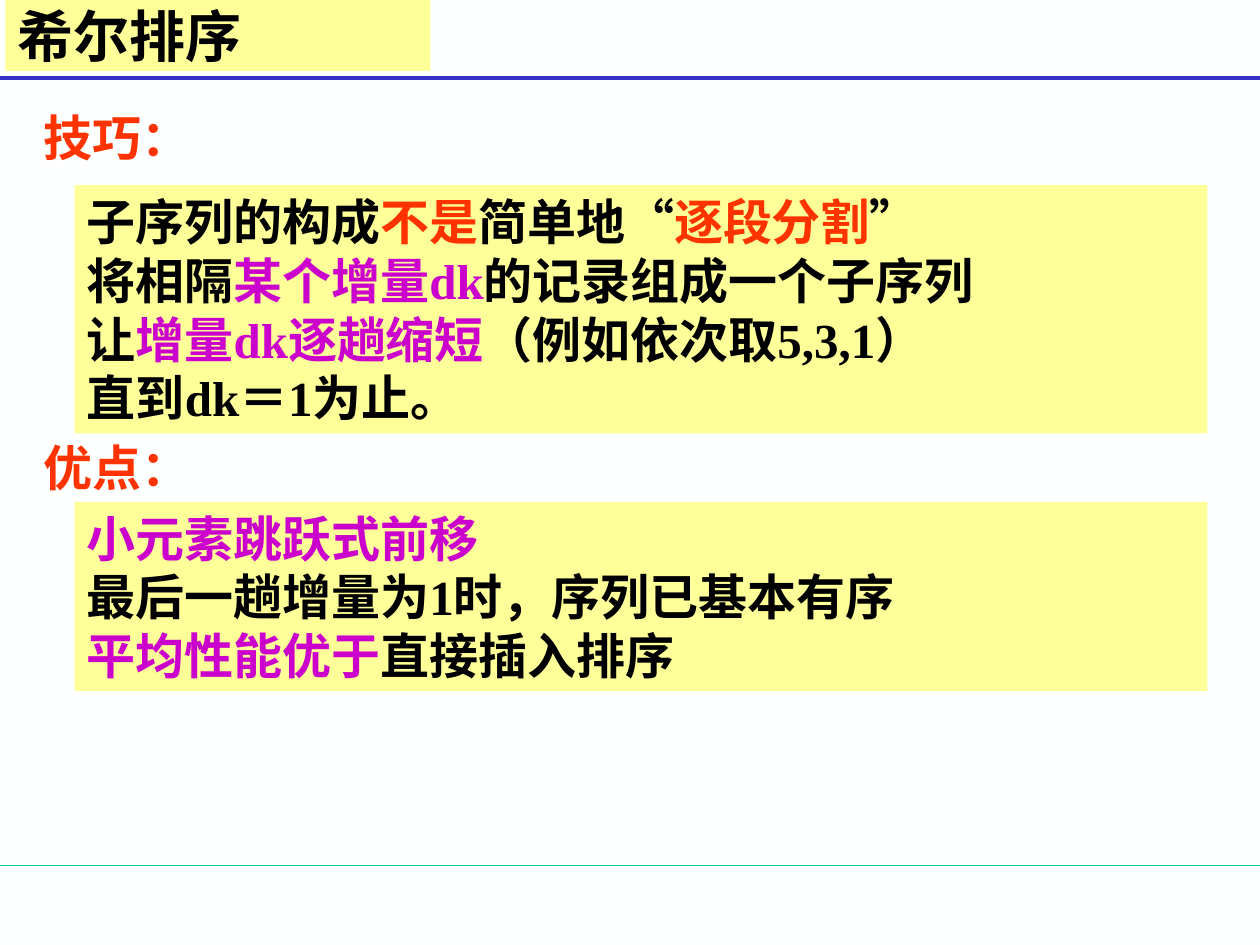
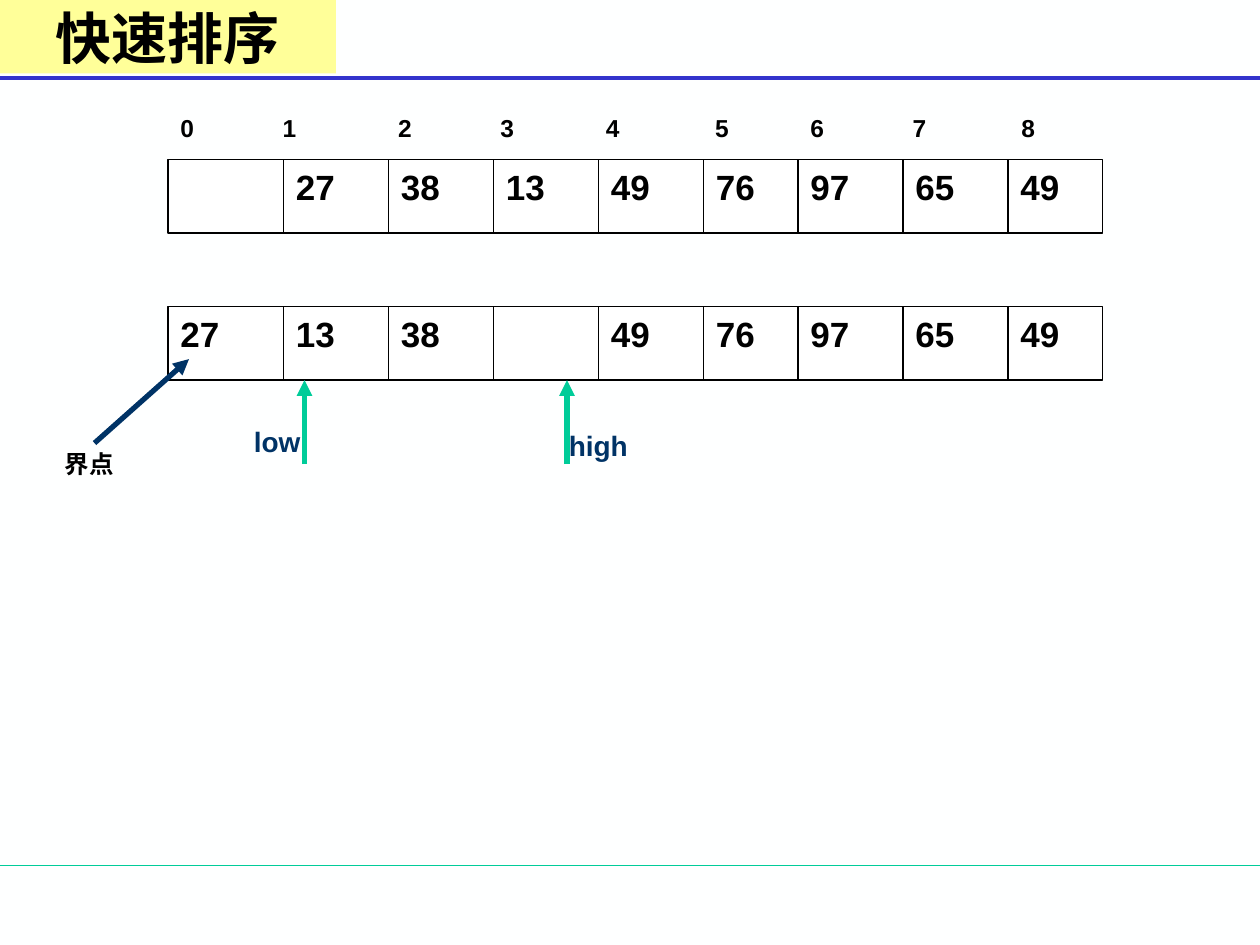
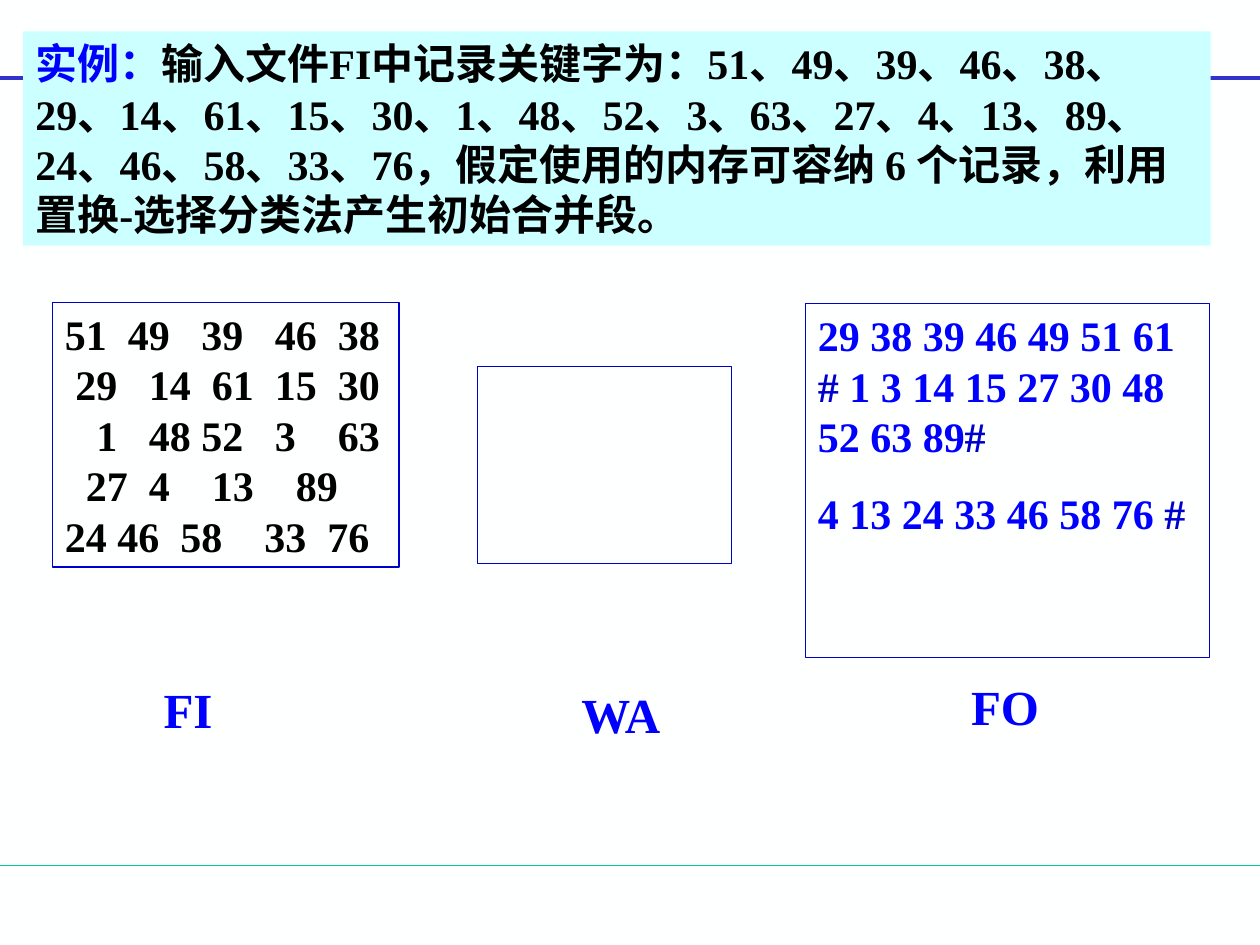
from dataclasses import dataclass
from typing import NamedTuple, Optional, Sequence

from lxml.etree import SubElement
from pptx import Presentation
from pptx.dml.color import RGBColor
from pptx.enum.shapes import MSO_CONNECTOR as Connector, MSO_SHAPE as Preset
from pptx.enum.text import MSO_ANCHOR as Anchor, MSO_AUTO_SIZE as AutoSize, PP_ALIGN as Align
from pptx.oxml.ns import qn
from pptx.util import Emu, Inches, Pt

GRID_COLUMNS, GRID_ROWS = 120, 90
SLIDE_WIDTH, SLIDE_HEIGHT = Inches(10), Inches(7.5)
UNIT = SLIDE_WIDTH / GRID_COLUMNS  # grid cells are square
TITLE_ONLY, BLANK = 5, 6


@dataclass(frozen=True)
class Theme:
    background: str = "FEFFFF"
    black: str = "000000"
    white: str = "FFFFFF"
    yellow: str = "FFFF99"
    cyan: str = "CCFFFF"
    red: str = "FF3300"
    magenta: str = "CC00CC"
    blue: str = "0000FF"
    dark_blue: str = "0000CC"
    navy: str = "003366"
    green: str = "00CC99"
    band: str = "3333CC"
    serif: str = "Times New Roman"
    sans: str = "Arial"
    chinese: str = "Noto Sans CJK SC"
    title_size: int = 32
    body_size: int = 28
    example_size: int = 24
    value_size: int = 20
    pointer_size: int = 16
    index_size: int = 14
    thin: float = 0.75
    band_width: float = 2.25
    thick: float = 3


THEME = Theme()


class Area(NamedTuple):
    column: float
    row: float
    columns: float
    rows: float


class Point(NamedTuple):
    column: float
    row: float


class Span(NamedTuple):
    text: str
    color: str = THEME.black


class TextStyle(NamedTuple):
    size: int
    font: str
    space_before: float = 0


@dataclass(frozen=True)
class Line:
    """One paragraph: its spans and its tab stops in grid columns."""
    spans: Sequence[Span]
    tabs: Sequence[float] = ()


class Pointer(NamedTuple):
    text: str
    column: float
    label: Area


class File(NamedTuple):
    name: str
    frame: Area
    label: Area
    lines: Sequence[Line]


TITLE = TextStyle(THEME.title_size, THEME.serif)
BODY = TextStyle(THEME.body_size, THEME.serif)
EXAMPLE = TextStyle(THEME.example_size, THEME.serif)
RUNS = TextStyle(THEME.example_size, THEME.serif, 15)
VALUE = TextStyle(THEME.value_size, THEME.sans)
POINTER = TextStyle(THEME.pointer_size, THEME.sans)
INDEX = TextStyle(THEME.index_size, THEME.sans)


def units(count: float) -> Emu:
    return Emu(round(count * UNIT))


def rgb(color: str) -> RGBColor:
    return RGBColor.from_string(color)


def plain(text: str, color: str = THEME.black) -> list[Line]:
    return [Line([Span(text, color)])]


def write(shape, lines: Sequence[Line], style: TextStyle,
          align: Align = Align.LEFT, anchor: Anchor = Anchor.TOP) -> None:
    frame = shape.text_frame
    frame.word_wrap = True
    frame.auto_size = AutoSize.NONE
    frame.vertical_anchor = anchor
    frame.margin_left = frame.margin_right = Inches(0.1)
    frame.margin_top = frame.margin_bottom = Inches(0.05)
    for number, line in enumerate(lines):
        paragraph = frame.add_paragraph() if number else frame.paragraphs[0]
        if line.tabs:
            stops = SubElement(paragraph._p.get_or_add_pPr(), qn("a:tabLst"))
            for stop in line.tabs:
                SubElement(stops, qn("a:tab"), pos=str(units(stop)), algn="l")
        paragraph.alignment = align
        paragraph.space_before = Pt(style.space_before if number else 0)
        for span in line.spans:
            run = paragraph.add_run()
            run.text = span.text
            run.font.size = Pt(style.size)
            run.font.bold = True
            run.font.color.rgb = rgb(span.color)
            run.font.name = style.font
            SubElement(run._r.get_or_add_rPr(), qn("a:ea"), typeface=THEME.chinese)


def add_text(slide, area: Area, lines: Sequence[Line], style: TextStyle) -> None:
    write(slide.shapes.add_textbox(*map(units, area)), lines, style)


def add_box(slide, area: Area, fill: Optional[str] = None, line: Optional[str] = None):
    shape = slide.shapes.add_shape(Preset.RECTANGLE, *map(units, area))
    shape.shadow.inherit = False
    if fill:
        shape.fill.solid()
        shape.fill.fore_color.rgb = rgb(fill)
    else:
        shape.fill.background()
    if line:
        shape.line.color.rgb = rgb(line)
        shape.line.width = Pt(THEME.thin)
    else:
        shape.line.fill.background()
    return shape


def add_line(slide, start: Point, end: Point, color: str, width: float, arrow: bool = False):
    connector = slide.shapes.add_connector(Connector.STRAIGHT, *map(units, (*start, *end)))
    connector.line.color.rgb = rgb(color)
    connector.line.width = Pt(width)
    properties = connector.element.spPr
    if arrow:
        SubElement(properties.find(qn("a:ln")), qn("a:tailEnd"), type="triangle")
    SubElement(properties, qn("a:effectLst"))
    return connector


def add_title(slide, area: Area, text: str, style: TextStyle, align: Align) -> None:
    title = slide.shapes.title
    title.left, title.top, title.width, title.height = map(units, area)
    title.fill.solid()
    title.fill.fore_color.rgb = rgb(THEME.yellow)
    write(title, plain(text), style, align, Anchor.MIDDLE)


def decorate_master(presentation, slide) -> None:
    """Give the master its background and rules; the rules are drawn on a slide, then moved."""
    master = presentation.slide_master
    master.background.fill.solid()
    master.background.fill.fore_color.rgb = rgb(THEME.background)
    for row, color, width in ((82.44, THEME.green, THEME.thin),
                              (7.44, THEME.band, THEME.band_width)):
        rule = add_line(slide, Point(0, row), Point(GRID_COLUMNS, row), color, width)
        master.element.cSld.spTree.append(rule.element)


def build_shell_sort(slide) -> None:
    add_title(slide, Area(0.5, 0, 40.5, 6.75), "希尔排序",
              TextStyle(THEME.title_size, THEME.chinese), Align.LEFT)
    technique = [
        Line([Span("子序列的构成"), Span("不是", THEME.red), Span("简单地“"),
              Span("逐段分割", THEME.red), Span("”")]),
        Line([Span("将相隔"), Span("某个增量dk", THEME.magenta), Span("的记录组成一个子序列")]),
        Line([Span("让"), Span("增量dk逐趟缩短", THEME.magenta), Span("（例如依次取5,3,1）")]),
        Line([Span("直到dk＝1为止。")]),
    ]
    advantages = [
        Line([Span("小元素跳跃式前移", THEME.magenta)]),
        Line([Span("最后一趟增量为1时，序列已基本有序")]),
        Line([Span("平均性能优于", THEME.magenta), Span("直接插入排序")]),
    ]
    for heading, heading_row, lines, row, rows in (
            ("技巧：", 9.6, technique, 17.64, 23.64),
            ("优点：", 41.04, advantages, 47.8, 18)):
        write(add_box(slide, Area(7.1, row, 107.9, rows), THEME.yellow), lines, BODY)
        add_text(slide, Area(3, heading_row, 22, 6.8), plain(heading, THEME.red), BODY)


def build_quick_sort(slide) -> None:
    cell_edges = (16, 27, 37, 47, 57, 67, 76, 86, 96, 105)
    cell_rows = 7
    first_row, second_row = 15.2, 29.2
    arrays = {
        first_row: ("", "27", "38", "13", "49", "76", "97", "65", "49"),
        second_row: ("27", "13", "38", "", "49", "76", "97", "65", "49"),
    }
    left, width = cell_edges[0], cell_edges[-1] - cell_edges[0]

    add_title(slide, Area(0, 0, 32, 7), "快速排序", TITLE, Align.CENTER)
    indices = "\t".join(map(str, range(9)))
    index_tabs = (9.73, 20.75, 30.48, 40.53, 50.92, 60, 69.73, 80.1)
    add_text(slide, Area(left, 10.2, width, 4.1), [Line([Span(indices)], index_tabs)], INDEX)

    for row, values in arrays.items():
        add_box(slide, Area(left, row, width, cell_rows), THEME.white, THEME.black)
        for edge in cell_edges[1:-1]:
            add_line(slide, Point(edge, row), Point(edge, row + cell_rows),
                     THEME.black, THEME.thin)
        for edge, value in zip(cell_edges, values):
            if value:
                add_text(slide, Area(edge, row, 8, 5.3), plain(value), VALUE)

    bottom = second_row + cell_rows
    for pointer in (Pointer("high", 54, Area(53, 40.2, 11, 4.4)),
                    Pointer("low", 29, Area(23, 39.8, 11, 4.4))):
        add_line(slide, Point(pointer.column, bottom + 8), Point(pointer.column, bottom),
                 THEME.green, THEME.thick, arrow=True)
        add_text(slide, pointer.label, plain(pointer.text, THEME.navy), POINTER)

    add_text(slide, Area(5, 42.2, 10, 4.1), plain("界点"), INDEX)
    add_line(slide, Point(9, 42.2), Point(18, 34.2), THEME.navy, THEME.thick, arrow=True)


def key_line(keys: dict[int, int]) -> Line:
    """Place each key at its grid column within the frame."""
    text = "\t".join(map(str, keys.values()))
    starts_indented = 0 not in keys
    return Line([Span("\t" + text if starts_indented else text)],
                [column for column in keys if column])


def build_replacement_selection(slide) -> None:
    prompt = [Line([
        Span("实例：", THEME.blue),
        Span("输入文件FI中记录关键字为：51、49、39、46、38、29、14、61、15、30、1、48、52、"
             "3、63、27、4、13、89、24、46、58、33、76，假定使用的内存可容纳 6 个记录，"
             "利用置换-选择分类法产生初始合并段。"),
    ])]
    write(add_box(slide, Area(2.2, 3, 113.1, 20.4), THEME.cyan), prompt, EXAMPLE)

    input_lines = [key_line(keys) for keys in (
        {0: 51, 6: 49, 13: 39, 20: 46, 26: 38},
        {1: 29, 8: 14, 14: 61, 20: 15, 26: 30},
        {3: 1, 8: 48, 13: 52, 20: 3, 26: 63},
        {2: 27, 8: 4, 14: 13, 22: 89},
        {0: 24, 5: 46, 11: 58, 19: 33, 25: 76},
    )]
    output_lines = [
        Line([Span("29 38 39 46 49 51 61 ", THEME.blue), Span("# ", THEME.dark_blue),
              Span("1 3 14 15 27 30 48 52 63 89", THEME.blue), Span("#", THEME.dark_blue)]),
        Line([Span("4 13 24 33 46 58 76 ", THEME.blue), Span("#", THEME.dark_blue)]),
    ]
    for file, style in (
            (File("FI", Area(5, 28.8, 33, 25.2), Area(14.4, 64.1, 9.7, 6.8), input_lines), EXAMPLE),
            (File("WA", Area(45.5, 34.9, 24.2, 18.8), Area(54.2, 64.6, 15.8, 6.8), []), EXAMPLE),
            (File("FO", Area(76.7, 28.9, 38.5, 33.7), Area(91.3, 63.8, 9.7, 6.8), output_lines),
             RUNS)):
        frame = add_box(slide, file.frame, line=THEME.dark_blue)
        write(frame, file.lines, style)
        add_text(slide, file.label, plain(file.name, THEME.blue), BODY)


def main() -> None:
    presentation = Presentation()
    presentation.slide_width, presentation.slide_height = SLIDE_WIDTH, SLIDE_HEIGHT
    for layout, build in ((TITLE_ONLY, build_shell_sort),
                          (TITLE_ONLY, build_quick_sort),
                          (BLANK, build_replacement_selection)):
        build(presentation.slides.add_slide(presentation.slide_layouts[layout]))
    decorate_master(presentation, presentation.slides[0])
    presentation.save("out.pptx")


if __name__ == "__main__":
    main()
